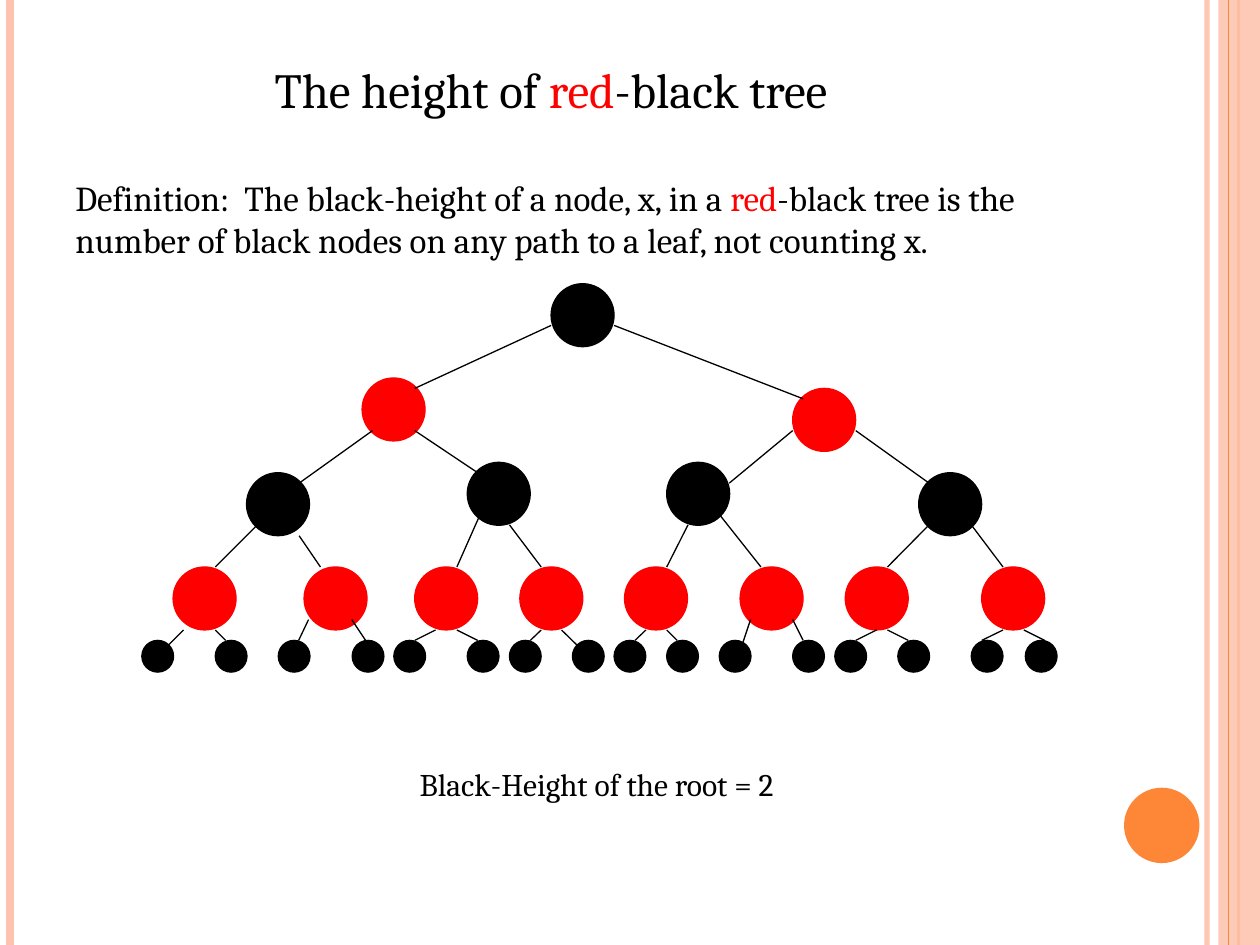
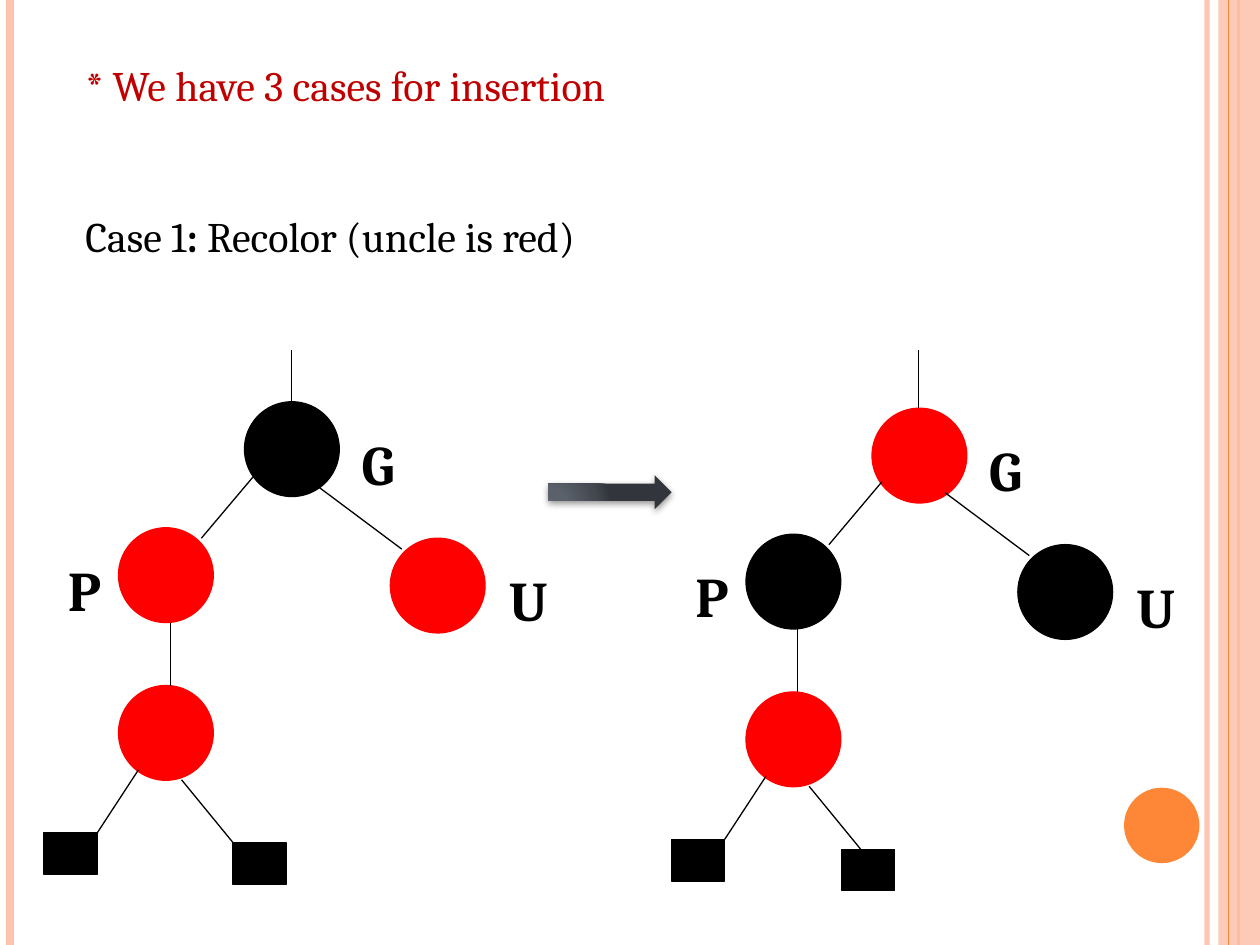
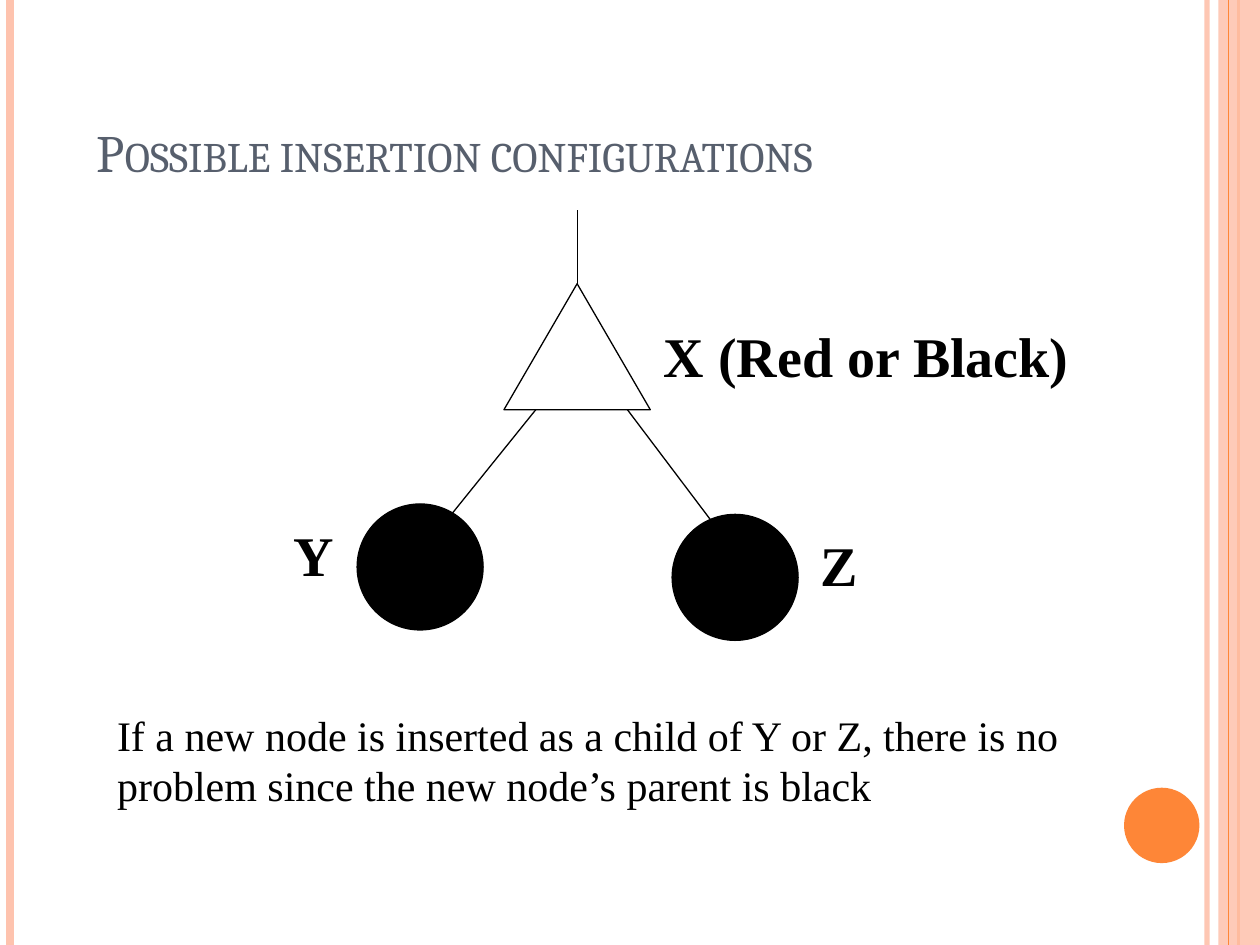
from lxml import etree
from pptx import Presentation, util as u
from pptx.dml.color import RGBColor
from pptx.enum import shapes, text
from pptx.oxml import parse_xml
from pptx.oxml.ns import nsdecls, qn

# Shared style
BLACK, RED, WHITE = "000000", "FF0000", "FFFFFF"
DARK_RED, SLATE = "C00000", "575F6D"
PEACH, ORANGE = "FEC3AE", "FE8637"
SERIF, ROMAN = "Cambria", "Times New Roman"
TITLE_ONLY = 5
WIDTH, HEIGHT = 25.4, 19.05
OVAL = shapes.MSO_SHAPE.OVAL
RECTANGLE = shapes.MSO_SHAPE.RECTANGLE
LEFT, CENTER, RIGHT = text.PP_ALIGN.LEFT, text.PP_ALIGN.CENTER, text.PP_ALIGN.RIGHT
TOP, BOTTOM = text.MSO_ANCHOR.TOP, text.MSO_ANCHOR.BOTTOM

# Red-black tree: (colour, diameter, [(left, top), ...]) for each level
TREE_LEVELS = [
    (BLACK, 1.27, [(11.11, 5.72)]),
    (RED, 1.27, [(7.3, 7.62), (15.98, 7.83)]),
    (BLACK, 1.27, [(4.97, 9.53), (9.42, 9.32), (13.44, 9.32), (18.52, 9.53)]),
    (RED, 1.27, [(left, 11.43) for left in
                 (3.49, 6.13, 8.36, 10.48, 12.59, 14.92, 17.04, 19.79)]),
    (BLACK, 0.64, [(left, 12.91) for left in
                   (2.86, 4.34, 5.61, 7.1, 7.94, 9.42, 10.27, 11.54,
                    12.38, 13.44, 14.5, 15.98, 16.83, 18.1, 19.58, 20.67)]),
]
TREE_EDGES = [
    # root to red children
    (11.11, 6.56, 8.36, 7.83), (12.38, 6.56, 16.19, 8.04),
    # red children to black nodes
    (7.51, 8.68, 6.03, 9.74), (8.36, 8.68, 9.63, 9.53),
    (15.98, 8.68, 14.7, 9.74), (17.25, 8.68, 18.73, 9.74),
    # black nodes to red nodes
    (5.19, 10.58, 4.34, 11.43), (6.03, 10.8, 6.46, 11.43),
    (9.68, 10.37, 9.21, 11.43), (10.27, 10.58, 10.91, 11.43),
    (13.87, 10.58, 13.44, 11.43), (14.5, 10.37, 15.34, 11.43),
    (18.73, 10.58, 17.89, 11.43), (19.58, 10.58, 20.22, 11.43),
    # red nodes to leaves
    (3.7, 12.7, 3.28, 13.12), (4.34, 12.7, 4.55, 12.91),
    (6.22, 12.49, 6.02, 12.91), (7.09, 12.49, 7.51, 13.12),
    (8.78, 12.7, 8.36, 12.91), (9.21, 12.7, 9.63, 12.91),
    (10.91, 12.7, 10.69, 12.91), (11.32, 12.7, 11.75, 13.12),
    (13.02, 12.7, 12.8, 12.91), (13.44, 12.7, 13.65, 12.91),
    (15.13, 12.49, 14.92, 13.12), (15.98, 12.49, 16.19, 12.91),
    (17.67, 12.7, 17.25, 12.91), (17.89, 12.7, 18.31, 12.91),
    (20.22, 12.7, 19.79, 12.91), (20.64, 12.7, 21.06, 12.91),
]

# Insertion subtree, placed relative to the left-hand one
FAMILY_EDGES = [
    (5.13, 9.58, 4.06, 10.85), (6.4, 9.8, 8.1, 11.07), (3.43, 12.55, 3.43, 13.82),
    (2.79, 15.52, 1.96, 16.79), (3.66, 15.72, 4.7, 16.99),
]
FAMILY_LABELS = [("P", 1.12, 11.07, 1.07), ("G", 7.04, 8.53, 1.47), ("U", 10.01, 11.28, 1.07)]


def rgb(colour):
    return RGBColor.from_string(colour)


def set_opacity(element, percent):
    for colour in element.spPr.iter(qn("a:srgbClr")):
        etree.SubElement(colour, qn("a:alpha")).set("val", str(percent * 1000))


def add_line(slide, ends, colour=BLACK, width=0.75):
    line = slide.shapes.add_connector(
        shapes.MSO_CONNECTOR.STRAIGHT, *(u.Cm(value) for value in ends))
    line.line.color.rgb = rgb(colour)
    line.line.width = u.Pt(width)
    etree.SubElement(line._element.spPr, qn("a:effectLst"))
    return line


def add_figure(slide, kind, box, fill, outline=None):
    shape = slide.shapes.add_shape(kind, *(u.Cm(value) for value in box))
    shape.shadow.inherit = False
    shape.fill.solid()
    shape.fill.fore_color.rgb = rgb(fill)
    if outline:
        shape.line.color.rgb = rgb(outline)
        shape.line.width = u.Pt(0.75)
    else:
        shape.line.fill.background()
    return shape


def add_node(slide, left, top, diameter, colour):
    add_figure(slide, OVAL, (left, top, diameter, diameter), colour, colour)


def write(shape, runs, size=24, font=SERIF, colour=BLACK, bold=False,
          align=LEFT, anchor=TOP, small_caps=False):
    """Fill a shape with one paragraph; runs is a string or (text, overrides) pairs."""
    frame = shape.text_frame
    frame.word_wrap = True
    frame.vertical_anchor = anchor
    paragraph = frame.paragraphs[0]
    paragraph.alignment = align
    for words, override in [(runs, {})] if isinstance(runs, str) else runs:
        run = paragraph.add_run()
        run.text = words
        run.font.name = font
        run.font.size = u.Pt(size)
        run.font.bold = override.get("bold", bold)
        run.font.color.rgb = rgb(override.get("colour", colour))
        if small_caps:
            run.font._element.set("cap", "small")


def add_text(slide, runs, box, **style):
    write(slide.shapes.add_textbox(*(u.Cm(value) for value in box)), runs, **style)


def add_slide(presentation, title, box, **style):
    slide = presentation.slides.add_slide(presentation.slide_layouts[TITLE_ONLY])
    # Side bands
    set_opacity(add_line(slide, (24.33, 0, 24.33, HEIGHT), PEACH, 3)._element, 93)
    add_line(slide, (0.2, 0, 0.2, HEIGHT), PEACH, 4.5)
    add_line(slide, (24.97, 0, 24.97, HEIGHT), ORANGE, 1.5)
    band = add_figure(slide, RECTANGLE, (24.56, 0, 0.84, HEIGHT), PEACH)
    set_opacity(band._element, 87)
    add_line(slide, (24.77, 0, 24.77, HEIGHT), ORANGE)
    add_figure(slide, OVAL, (22.66, 15.88, 1.52, 1.52), ORANGE)
    # Title
    heading = slide.shapes.title
    heading.left, heading.top, heading.width, heading.height = (u.Cm(value) for value in box)
    write(heading, title, **style)
    return slide


def add_family(slide, dx, dy, grandparent, siblings, right_leaf):
    """Draw grandparent, parent, uncle and new node with its two leaves."""
    nodes = [(4.93, 8.1, grandparent), (2.39, 10.64, siblings),
             (7.87, 10.85, siblings), (2.39, 13.82, RED)]
    for left, top, colour in nodes:
        add_node(slide, left + dx, top + dy, 1.91, colour)
    for left, top in [(0.89, 16.79), (right_leaf, 16.99)]:
        add_figure(slide, RECTANGLE, (left + dx, top + dy, 1.07, 0.84), BLACK, BLACK)
    for x1, y1, x2, y2 in FAMILY_EDGES:
        add_line(slide, (x1 + dx, y1 + dy, x2 + dx, y2 + dy))
    for label, left, top, width in FAMILY_LABELS:
        add_text(slide, label, (left + dx, top + dy, width, 1.6), size=32, bold=True)
    add_line(slide, (5.87 + dx, 7.06, 5.87 + dx, 8.23))


def add_gradient_arrow(slide, box):
    arrow = add_figure(slide, shapes.MSO_SHAPE.RIGHT_ARROW, box, SLATE)
    stops = [(0, "5E656F"), (30, "5B616B"), (75, "444951"), (100, "32363C")]
    stop_xml = "".join(f'<a:gs pos="{place * 1000}"><a:srgbClr val="{colour}"/></a:gs>'
                       for place, colour in stops)
    gradient = parse_xml(
        f'<a:gradFill {nsdecls("a")} rotWithShape="1"><a:gsLst>{stop_xml}</a:gsLst>'
        '<a:path path="circle"><a:fillToRect l="5000" t="100000" r="120000" b="10000"/>'
        '</a:path></a:gradFill>')
    shadow = parse_xml(
        f'<a:outerShdw {nsdecls("a")} blurRad="50800" dist="20000" dir="5400000" '
        'rotWithShape="0"><a:srgbClr val="000000"><a:alpha val="42000"/></a:srgbClr>'
        '</a:outerShdw>')
    properties = arrow._element.spPr
    properties.replace(properties.find(qn("a:solidFill")), gradient)
    properties.find(qn("a:effectLst")).append(shadow)


def build_height_slide(presentation):
    slide = add_slide(
        presentation,
        [("The height of ", {}), ("red", {"colour": RED}), ("-black tree", {})],
        (5.28, 1.07, 13.54, 1.45), size=28)
    add_text(slide, [("Definition:  The black-height of a node, x, in a ", {}),
                     ("red", {"colour": RED}),
                     ("-black tree is the number of black nodes on any path to a leaf, "
                      "not counting x.", {})],
             (1.27, 3.43, 21.59, 1.96), size=20)
    for colour, diameter, places in TREE_LEVELS:
        for left, top in places:
            add_node(slide, left, top, diameter, colour)
    for ends in TREE_EDGES:
        add_line(slide, ends)
    add_text(slide, "Black-Height of the root = 2", (6.76, 15.29, 10.54, 1.02),
             size=18, align=CENTER)


def build_recolor_slide(presentation):
    slide = add_slide(presentation, "* We have 3 cases for insertion",
                      (1.47, 1.07, 20.32, 1.28), colour=DARK_RED)
    add_text(slide, [("Case 1", {}), (": ", {"bold": True}), ("Recolor (uncle is red)", {})],
             (1.47, 4.11, 20.32, 1.28))
    add_family(slide, 0, 0, BLACK, RED, right_leaf=4.7)
    add_family(slide, 12.65, 0.13, RED, BLACK, right_leaf=4.32)
    add_gradient_arrow(slide, (11.05, 9.58, 2.49, 0.69))


def build_configurations_slide(presentation):
    slide = add_slide(presentation, "Possible insertion configurations",
                      (1.7, 0.64, 21.59, 3.18), size=30, colour=SLATE,
                      anchor=BOTTOM, small_caps=True)
    for left, top in [(7.2, 10.16), (13.55, 10.37)]:
        add_node(slide, left, top, 2.54, BLACK)
    for ends in [(10.8, 8.26, 9.1, 10.37), (12.49, 8.05, 14.4, 10.58),
                 (11.64, 5.92, 11.64, 4.24)]:
        add_line(slide, ends)
    for label, box, align in [("X (Red or Black)", (13.13, 6.35, 10.16, 1.6), LEFT),
                              ("Y", (5.08, 10.37, 1.91, 1.6), RIGHT),
                              ("Z", (16.3, 10.58, 1.47, 1.6), LEFT)]:
        add_text(slide, label, box, size=32, font=ROMAN, bold=True, align=align)
    add_text(slide, "If a new node is inserted as a child of Y or Z, there is no problem "
                    "since the new node’s parent is black",
             (2.11, 14.18, 21.17, 2.29), font=ROMAN)
    add_figure(slide, shapes.MSO_SHAPE.ISOSCELES_TRIANGLE,
               (10.16, 5.72, 2.95, 2.54), WHITE, BLACK)


def main():
    presentation = Presentation()
    presentation.slide_width, presentation.slide_height = u.Cm(WIDTH), u.Cm(HEIGHT)
    build_height_slide(presentation)
    build_recolor_slide(presentation)
    build_configurations_slide(presentation)
    presentation.save("out.pptx")


if __name__ == "__main__":
    main()
